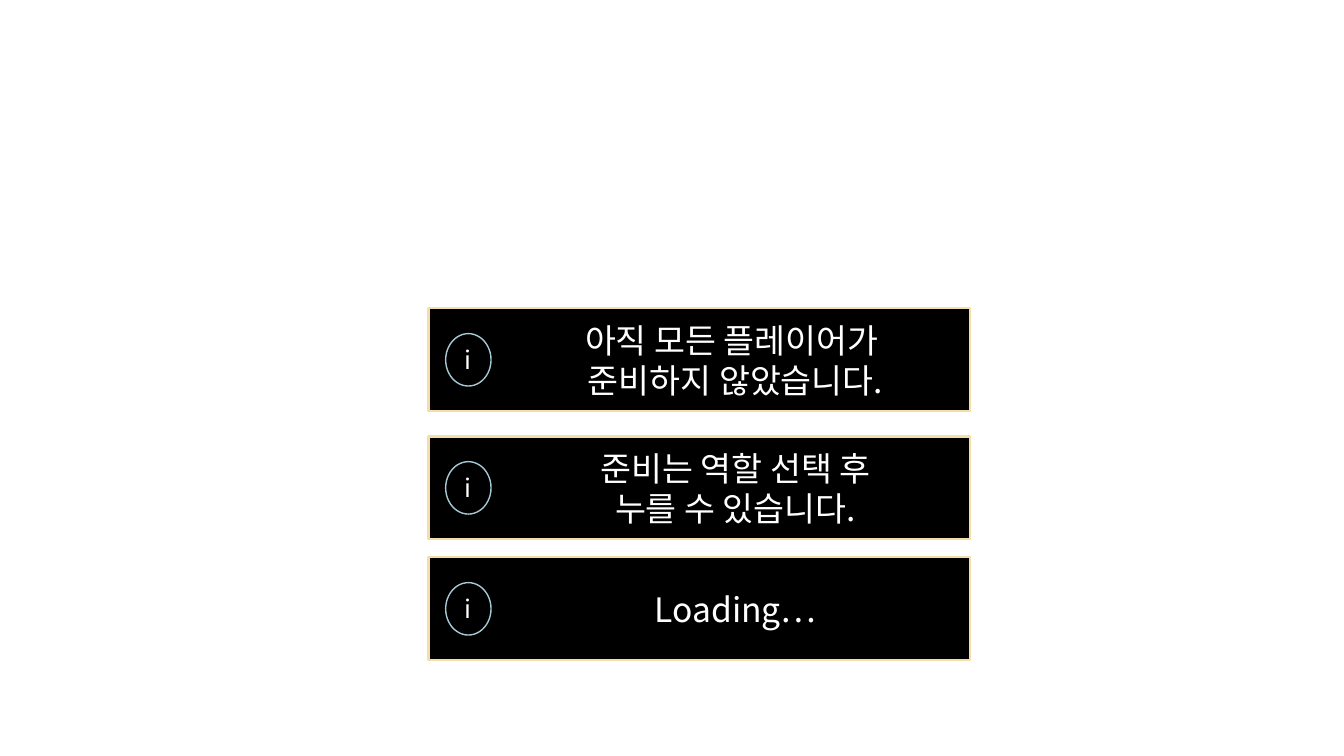
from lxml.etree import SubElement
from pptx import Presentation
from pptx.dml.color import RGBColor
from pptx.enum.shapes import MSO_SHAPE
from pptx.enum.text import MSO_ANCHOR, PP_ALIGN
from pptx.oxml.ns import qn
from pptx.util import Inches, Pt

NOTICES = [
    (3.06, "아직 모든 플레이어가 \n준비하지 않았습니다."),
    (4.33, "준비는 역할 선택 후\n누를 수 있습니다."),
    (5.53, "Loading…"),
]


def color(value):
    return RGBColor.from_string(value)


class NoticePage:
    font_name = "Noto Sans CJK KR"
    text_color = "FFFFFF"
    panel_color = "000000"
    border_color = "F6DEAA"
    icon_color = "A6C9D6"

    def __init__(self, page):
        self.page = page

    def shape(self, group, kind, left, top, width, height, fill=None, line=None, line_width=1):
        shape = group.shapes.add_shape(
            kind, Inches(left), Inches(top), Inches(width), Inches(height))
        shape.shadow.inherit = False
        if fill:
            shape.fill.solid()
            shape.fill.fore_color.rgb = color(fill)
        else:
            shape.fill.background()
        if line:
            shape.line.color.rgb = color(line)
            shape.line.width = Pt(line_width)
        else:
            shape.line.fill.background()
        return shape

    def label(self, shape, text, size):
        """Put centred text into a shape."""
        frame = shape.text_frame
        frame.word_wrap = True
        frame.vertical_anchor = MSO_ANCHOR.MIDDLE
        para = frame.paragraphs[0]
        para.text = text
        para.alignment = PP_ALIGN.CENTER
        for span in para.runs:
            span.font.size = Pt(size)
            span.font.color.rgb = color(self.text_color)
            span.font.name = self.font_name
            SubElement(span.font._element, qn("a:ea"), typeface=self.font_name)

    def notice(self, top, message):
        """Draw one panel with its info icon and message as a group."""
        group = self.page.shapes.add_group_shape()
        self.shape(group, MSO_SHAPE.RECTANGLE, 4.25, top, 5.37, 1.02,
                   self.panel_color, self.border_color, 1.5)
        icon = self.shape(group, MSO_SHAPE.OVAL, 4.42, top + 0.25, 0.45, 0.52,
                          line=self.icon_color)
        self.label(icon, "i", 18)
        message_box = self.shape(group, MSO_SHAPE.ROUNDED_RECTANGLE, 5.03, top, 4.53, 1.02)
        self.label(message_box, message, 24)


def main():
    deck = Presentation()
    deck.slide_width = Inches(13.33)
    deck.slide_height = Inches(7.5)
    notice_page = NoticePage(deck.slides.add_slide(deck.slide_layouts[6]))
    for top, message in NOTICES:
        notice_page.notice(top, message)
    deck.save("out.pptx")


if __name__ == "__main__":
    main()
